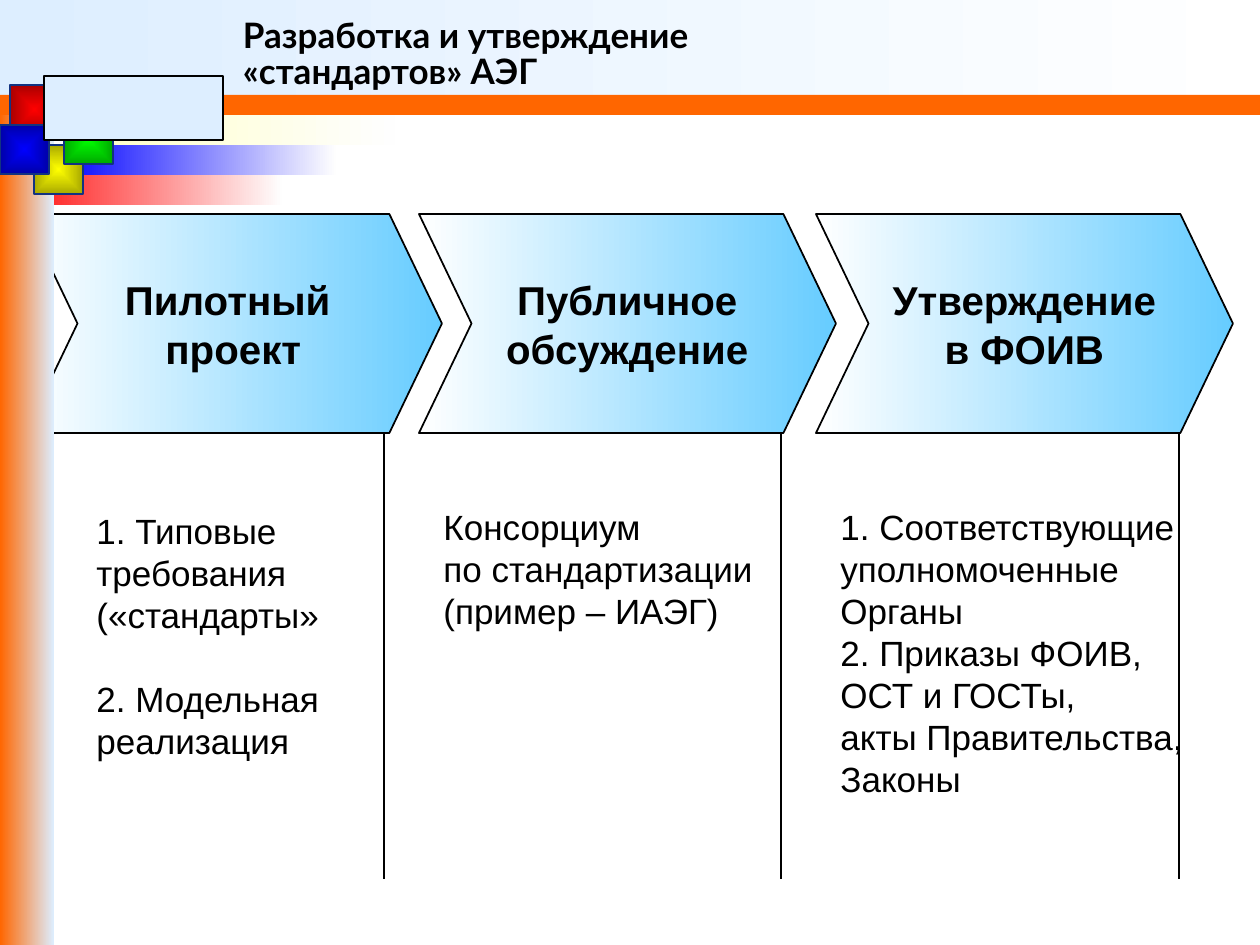
from lxml import etree
from pptx import Presentation
from pptx.dml.color import RGBColor
from pptx.enum.shapes import MSO_CONNECTOR, MSO_SHAPE
from pptx.enum.text import MSO_ANCHOR, MSO_AUTO_SIZE, PP_ALIGN
from pptx.oxml.ns import qn
from pptx.util import Emu, Pt

RECTANGLE = MSO_SHAPE.RECTANGLE
CHEVRON = MSO_SHAPE.CHEVRON
STRAIGHT = MSO_CONNECTOR.STRAIGHT
MIDDLE = MSO_ANCHOR.MIDDLE
TOP = MSO_ANCHOR.TOP
CENTER = PP_ALIGN.CENTER
LEFT = PP_ALIGN.LEFT
NO_AUTOFIT = MSO_AUTO_SIZE.NONE

BLACK = RGBColor(0x00, 0x00, 0x00)
WHITE = RGBColor(0xFF, 0xFF, 0xFF)
NEAR_WHITE = RGBColor(0xFE, 0xFE, 0xFE)
SKY = RGBColor(0x66, 0xCC, 0xFF)
PALE_BLUE = RGBColor(0xDD, 0xEE, 0xFF)
ORANGE = RGBColor(0xFF, 0x66, 0x00)
CREAM = RGBColor(0xFF, 0xFF, 0xCC)
NAVY = RGBColor(0x12, 0x33, 0x81)
RED = RGBColor(0xFF, 0x00, 0x00)
DARK_RED = RGBColor(0xA9, 0x00, 0x00)
YELLOW = RGBColor(0xFF, 0xFF, 0x00)
DARK_YELLOW = RGBColor(0xA9, 0xA9, 0x00)
GREEN = RGBColor(0x00, 0xFF, 0x00)
DARK_GREEN = RGBColor(0x00, 0xA9, 0x00)
BLUE = RGBColor(0x00, 0x00, 0xFF)
DARK_BLUE = RGBColor(0x00, 0x00, 0xA9)

PX = 914400 / 126


def px(*lengths):
    return [Emu(round(length * PX)) for length in lengths]


def add_filled(kind, box, colors, line_color=None, line_width=0.75):
    shape = slide.shapes.add_shape(kind, *px(*box))
    shape.shadow.inherit = False
    if len(colors) == 1:
        shape.fill.solid()
        shape.fill.fore_color.rgb = colors[0]
    else:
        shape.fill.gradient()
        shape.fill.gradient_angle = 0
        for stop, position, color in zip(shape.fill.gradient_stops, (0, 1), colors):
            stop.position = position
            stop.color.rgb = color
    if line_color is None:
        shape.line.fill.background()
    else:
        shape.line.color.rgb = line_color
        shape.line.width = Pt(line_width)
    return shape


presentation = Presentation()
presentation.slide_width, presentation.slide_height = px(1260, 945)
slide = presentation.slides.add_slide(presentation.slide_layouts[5])

for x in (384, 781, 1179):
    divider = slide.shapes.add_connector(STRAIGHT, *px(x, 344, x, 879))
    divider.line.color.rgb = BLACK
    divider.line.width = Pt(0.75)
    etree.SubElement(divider.element.spPr, qn("a:effectLst"))

stages = [
    (816, "Утверждение\nв ФОИВ"),
    (419, "Публичное\nобсуждение"),
    (25, "Пилотный \nпроект"),
]
for left, label in stages:
    stage = add_filled(CHEVRON, (left, 214, 417, 219), (WHITE, SKY), BLACK, 1)
    stage.adjustments[0] = 0.24
    text_frame = stage.text_frame
    text_frame.text = label
    text_frame.word_wrap = False
    text_frame.vertical_anchor = MIDDLE
    for paragraph in text_frame.paragraphs:
        paragraph.alignment = CENTER
        paragraph.line_spacing = Pt(28)
        font = paragraph.runs[0].font
        font.name = "Arial"
        font.size = Pt(23)
        font.bold = True
        font.color.rgb = BLACK

bands = [
    ((113, 115, 282, 30), (CREAM, NEAR_WHITE)),
    ((0, 175, 282, 30), (RED, NEAR_WHITE)),
    ((0, 115, 54, 830), (ORANGE, PALE_BLUE)),
    ((54, 145, 282, 30), (BLUE, NEAR_WHITE)),
    ((0, 0, 1260, 106), (PALE_BLUE, WHITE)),
    ((0, 95, 1260, 20), (ORANGE,)),
]
for box, colors in bands:
    add_filled(RECTANGLE, box, colors)

squares = [
    (10, 85, RED, DARK_RED),
    (34, 145, YELLOW, DARK_YELLOW),
    (64, 115, GREEN, DARK_GREEN),
    (0, 125, BLUE, DARK_BLUE),
]
for left, top, inner, outer in squares:
    square = add_filled(RECTANGLE, (left, top, 49, 49), (inner, outer), NAVY)
    gradient = square.element.spPr.find(qn("a:gradFill"))
    gradient.remove(gradient.find(qn("a:lin")))
    radial = etree.SubElement(gradient, qn("a:path"), path="rect")
    etree.SubElement(radial, qn("a:fillToRect"), l="50000", t="50000", r="50000", b="50000")

add_filled(RECTANGLE, (44, 76, 179, 64), (PALE_BLUE,), BLACK)

title = slide.shapes.title
title.left, title.top, title.width, title.height = px(223, 0, 853, 96)
title.element.getparent().append(title.element)
text_frame = title.text_frame
text_frame.text = "Разработка и утверждение\v«стандартов» АЭГ"
text_frame.word_wrap = True
text_frame.auto_size = NO_AUTOFIT
text_frame.vertical_anchor = MIDDLE
text_frame.margin_left, text_frame.margin_top, text_frame.margin_bottom = px(20, 20, 5)
paragraph = text_frame.paragraphs[0]
paragraph.alignment = LEFT
paragraph.line_spacing = 0.85
for run in paragraph.runs:
    run.font.name = "Lato"
    run.font.size = Pt(20)
    run.font.bold = True
    run.font.color.rgb = BLACK

columns = [
    ((84, 503, 258, 265),
     "1. Типовые\nтребования\n(«стандарты»\n2. Модельная\nреализация"),
    ((431, 499, 335, 181),
     "Консорциум\nпо стандартизации\n(пример – ИАЭГ)"),
    ((828, 499, 372, 307),
     "1. Соответствующие\nуполномоченные\nОрганы\n2. Приказы ФОИВ,\n"
     "ОСТ и ГОСТы,\nакты Правительства,\nЗаконы"),
]
for box, text in columns:
    column = slide.shapes.add_textbox(*px(*box))
    text_frame = column.text_frame
    text_frame.text = text
    text_frame.word_wrap = False
    text_frame.vertical_anchor = TOP
    for paragraph in text_frame.paragraphs:
        paragraph.line_spacing = Pt(24)
        if paragraph.text == "2. Модельная":
            paragraph.space_before = Pt(24)
        font = paragraph.runs[0].font
        font.name = "Arial"
        font.size = Pt(20)
        font.color.rgb = BLACK

presentation.save("out.pptx")
